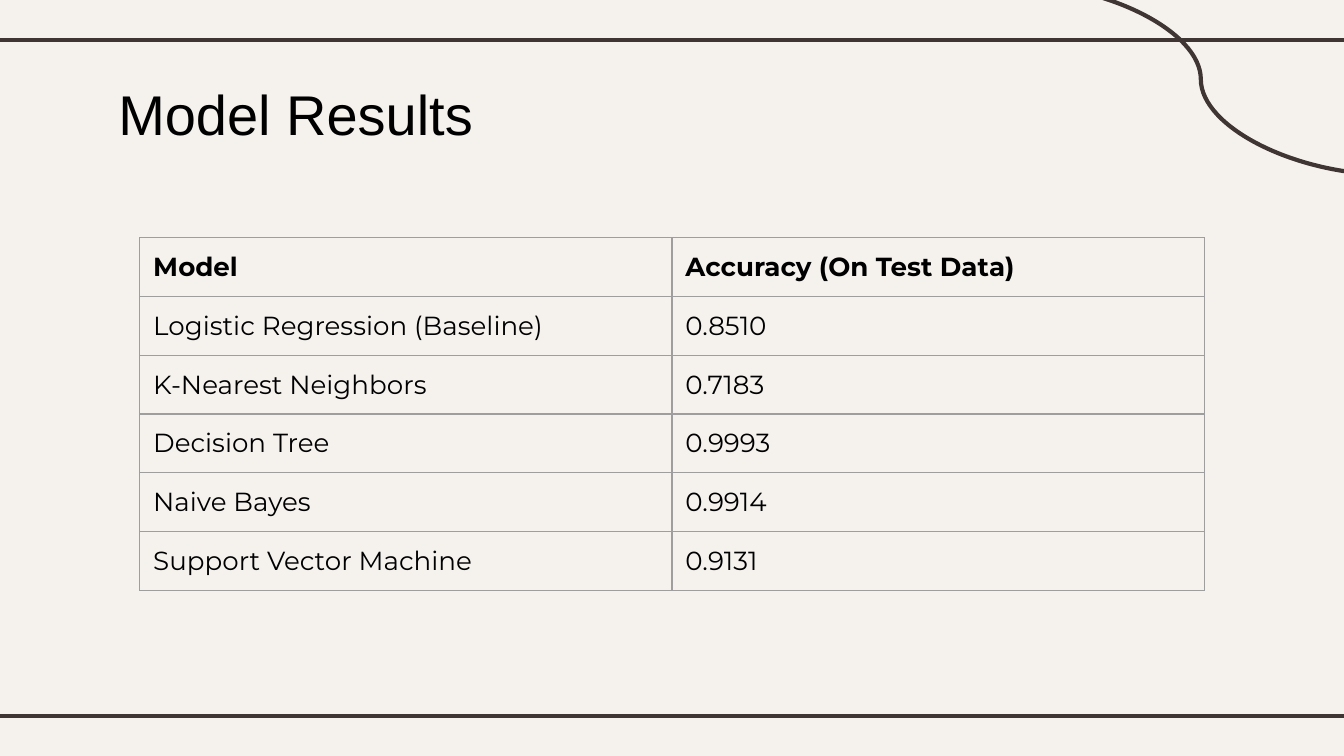
from lxml.etree import SubElement
from pptx import Presentation
from pptx.dml.color import RGBColor
from pptx.enum.shapes import MSO_CONNECTOR as Connector
from pptx.enum.text import MSO_ANCHOR as Anchor, MSO_AUTO_SIZE as AutoSize, PP_ALIGN as Align
from pptx.oxml.ns import qn
from pptx.util import Inches, Pt

COLORS = {"page": "F5F2EE", "rule": "3F3533", "grid": "9E9E9E", "text": "000000"}
RESULTS = [
    ("Model", "Accuracy (On Test Data)"),
    ("Logistic Regression (Baseline)", "0.8510"),
    ("K-Nearest Neighbors", "0.7183"),
    ("Decision Tree", "0.9993"),
    ("Naive Bayes", "0.9914"),
    ("Support Vector Machine", "0.9131"),
]


def write(frame, text, font="Montserrat", size=14, bold=False):
    para = frame.paragraphs[0]
    para.alignment = Align.LEFT
    span = para.add_run()
    span.text = text
    span.font.name = font
    span.font.size = Pt(size)
    span.font.bold = bold
    span.font.color.rgb = RGBColor.from_string(COLORS["text"])


def add_border(cell, side):
    line = SubElement(cell._tc.get_or_add_tcPr(), qn(f"a:{side}"), w=str(Pt(0.75)))
    fill = SubElement(line, qn("a:solidFill"))
    SubElement(fill, qn("a:srgbClr"), val=COLORS["grid"])


# Page, 16:9
deck = Presentation()
deck.slide_width = Inches(10)
deck.slide_height = deck.slide_width * 9 // 16
page = deck.slides.add_slide(deck.slide_layouts[5])
page.background.fill.solid()
page.background.fill.fore_color.rgb = RGBColor.from_string(COLORS["page"])

# Horizontal rules and corner curve
for kind, *ends in [
    (Connector.STRAIGHT, -0.08, 0.3, 10.08, 0.3),
    (Connector.STRAIGHT, -0.08, 5.33, 10.08, 5.33),
    (Connector.CURVE, 7.53, -0.12, 10.34, 1.3),
]:
    rule = page.shapes.add_connector(kind, *[Inches(end) for end in ends])
    rule.line.color.rgb = RGBColor.from_string(COLORS["rule"])
    rule.line.width = Pt(2.25)
    SubElement(rule._element.spPr, qn("a:effectLst"))

# Title
title = page.shapes.title
title.left, title.top = Inches(0.78), Inches(0.49)
title.width, title.height = Inches(5.15), Inches(0.63)
frame = title.text_frame
frame.auto_size = AutoSize.NONE
frame.word_wrap = True
frame.vertical_anchor = Anchor.TOP
frame.margin_left = frame.margin_right = Inches(0.1)
frame.margin_top = frame.margin_bottom = Inches(0.1)
write(frame, "Model Results", font="Arial", size=30)

# Results table, centred across the page
table_width, row_height = Inches(7.92), Inches(0.42)
table = page.shapes.add_table(
    len(RESULTS), 2, (deck.slide_width - table_width) // 2, Inches(1.77),
    table_width, row_height * len(RESULTS),
).table
table.first_row = table.horz_banding = False
for row, values in enumerate(RESULTS):
    for column, value in enumerate(values):
        cell = table.cell(row, column)
        cell.margin_left = cell.margin_right = Inches(0.1)
        cell.margin_top = cell.margin_bottom = Inches(0.1)
        for side in ("lnL", "lnR", "lnT", "lnB"):
            add_border(cell, side)
        cell.fill.background()
        write(cell.text_frame, value, bold=row == 0)

deck.save("out.pptx")
